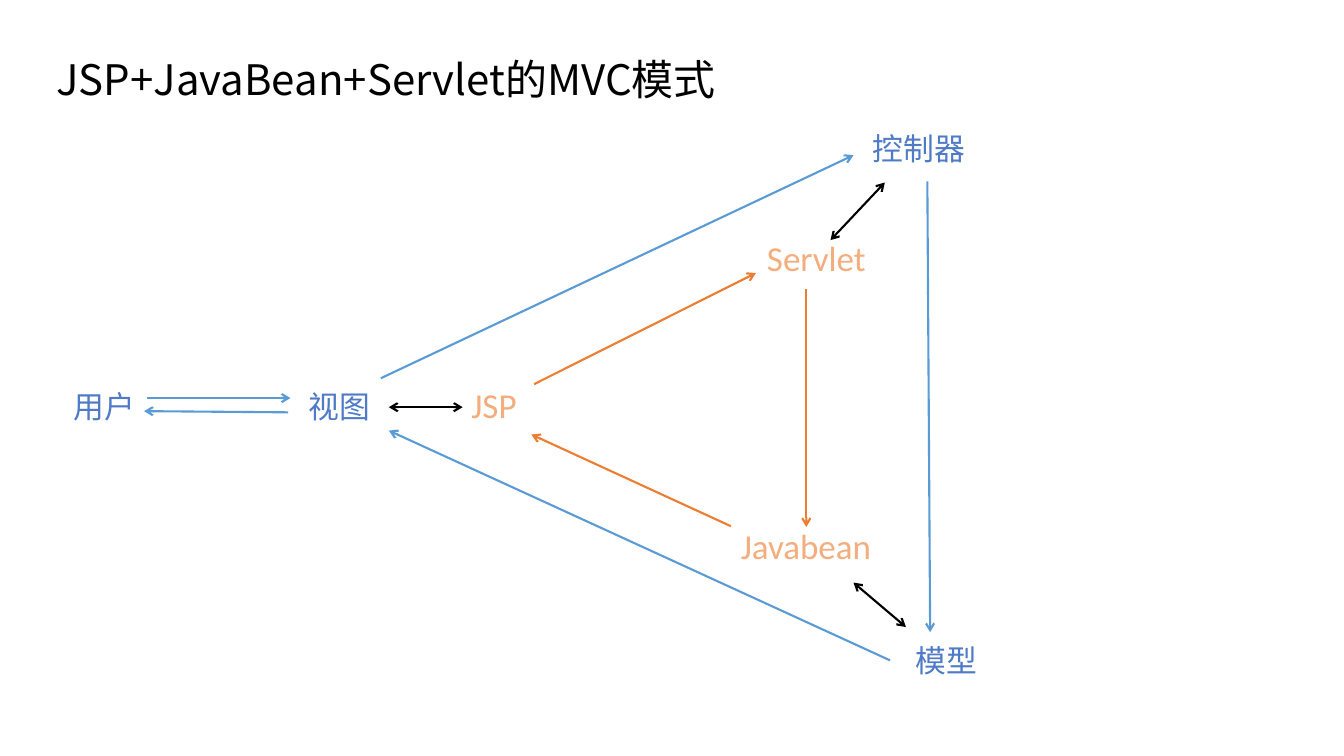
import pptx
import pptx.dml.color
import pptx.enum.shapes
import pptx.enum.text
import pptx.oxml
import pptx.oxml.ns
import pptx.util
from pptx.util import Cm

COLORS = {
    "title": "000000",
    "role": "4F7AC7",
    "technology": "F4AD7D",
    "role_arrow": "5B9BD5",
    "technology_arrow": "ED7D31",
    "link": "000000",
}
CHINESE_FONT = "Noto Sans CJK SC"
LATIN_FONT = "Calibri"


def color(name):
    return pptx.dml.color.RGBColor.from_string(COLORS[name])


def add_text(slide, box, text, *, fill, size=22, font=CHINESE_FONT, wrap=False, align="LEFT"):
    shape = slide.shapes.add_textbox(*(Cm(length) for length in box))
    frame = shape.text_frame
    frame.word_wrap = wrap
    frame.auto_size = pptx.enum.text.MSO_AUTO_SIZE.SHAPE_TO_FIT_TEXT
    paragraph = frame.paragraphs[0]
    paragraph.alignment = getattr(pptx.enum.text.PP_ALIGN, align)
    run = paragraph.add_run()
    run.text = text
    run.font.size = pptx.util.Pt(size)
    run.font.name = font
    run.font.color.rgb = color(fill)
    east_asian = pptx.oxml.parse_xml(
        f'<a:ea {pptx.oxml.ns.nsdecls("a")} typeface="{font}"/>')
    run.font._element.append(east_asian)


def add_arrow(slide, box, points, *, stroke, both_ends=False):
    left, top = box[:2]
    start_x, start_y, end_x, end_y = points
    connector = slide.shapes.add_connector(
        pptx.enum.shapes.MSO_CONNECTOR.STRAIGHT,
        Cm(left + start_x), Cm(top + start_y), Cm(left + end_x), Cm(top + end_y))
    connector.line.color.rgb = color(stroke)
    connector.line.width = pptx.util.Pt(1.5)
    line = connector.line._get_or_add_ln()
    namespace = pptx.oxml.ns.nsdecls("a")
    for end in ("headEnd", "tailEnd") if both_ends else ("tailEnd",):
        line.append(pptx.oxml.parse_xml(f'<a:{end} {namespace} type="arrow"/>'))
    connector._element.spPr.append(pptx.oxml.parse_xml(f"<a:effectLst {namespace}/>"))


def add_title(slide, box):
    add_text(slide, box, "JSP+JavaBean+Servlet的MVC模式", fill="title", size=30, wrap=True)


def add_user_exchange(slide, box):
    left, top, width, height = box
    add_text(slide, (left, top, 2.06, height), "用户", fill="role")
    for points in ((5.66, 0.74, 2.03, 0.71), (2.11, 0.38, 5.72, 0.38)):
        add_arrow(slide, box, points, stroke="role_arrow")


def add_role_cycle(slide, box):
    left, top = box[:2]
    add_text(slide, (left, top + 6.5, 2.06, 1.19), "视图", fill="role", align="CENTER")
    add_text(slide, (left + 14.22, top, 3.4, 1.19), "控制器", fill="role", wrap=True)
    add_text(slide, (left + 15.31, top + 12.9, 2.06, 1.19), "模型", fill="role")
    for points in (
        (2.08, 6.38, 13.99, 0.76),
        (15.85, 1.42, 15.92, 12.78),
        (14.91, 13.49, 2.28, 7.7),
    ):
        add_arrow(slide, box, points, stroke="role_arrow")


def add_technology_cycle(slide, box):
    left, top = box[:2]
    for text, x, y, width in (
        ("JSP", 0, 3.69, 1.65),
        ("Servlet", 7.45, 0, 3),
        ("Javabean", 6.79, 7.24, 3.78),
    ):
        add_text(slide, (left + x, top + y, width, 1.32), text,
                 fill="technology", size=25, font=LATIN_FONT)
    for points in (
        (1.83, 3.84, 7.42, 1.04),
        (8.69, 1.45, 8.69, 7.44),
        (6.79, 7.42, 1.76, 5.11),
    ):
        add_arrow(slide, box, points, stroke="technology_arrow")


def add_role_links(slide, box):
    for points in (
        (2.28, 7.11, 4.14, 7.11),
        (13.41, 2.9, 14.78, 1.45),
        (13.99, 11.53, 15.31, 12.65),
    ):
        add_arrow(slide, box, points, stroke="link", both_ends=True)


def main():
    presentation = pptx.Presentation()
    presentation.slide_width = Cm(33.87)
    presentation.slide_height = Cm(19.05)
    slide = presentation.slides.add_slide(presentation.slide_layouts[6])
    cycle_box = (7.52, 3.15, 17.62, 14.09)
    add_role_links(slide, cycle_box)
    add_role_cycle(slide, cycle_box)
    add_technology_cycle(slide, (11.63, 5.84, 10.57, 8.56))
    add_user_exchange(slide, (1.6, 9.65, 5.72, 1.19))
    add_title(slide, (1.17, 1.22, 18.29, 1.55))
    presentation.save("out.pptx")


if __name__ == "__main__":
    main()
